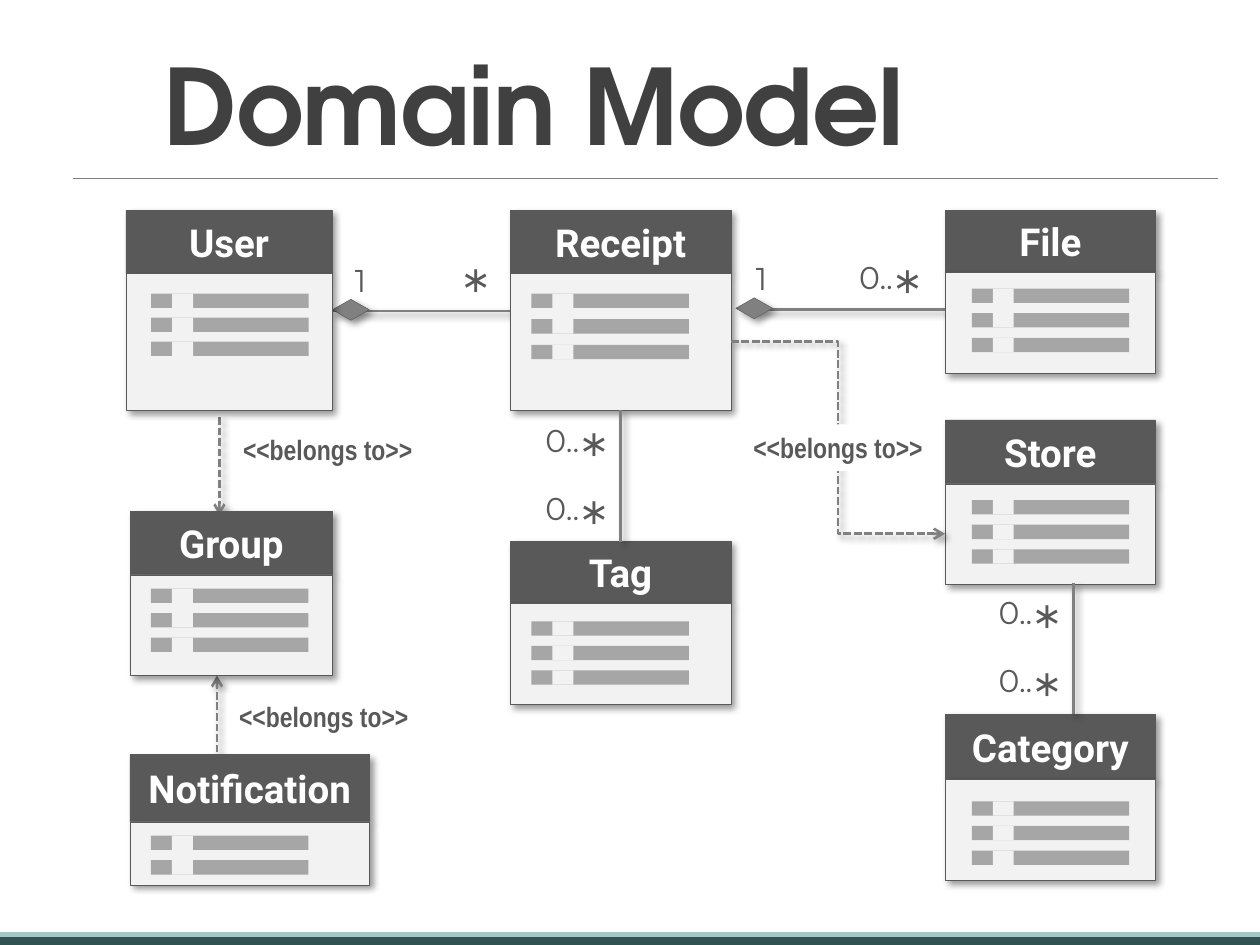
from dataclasses import dataclass
from typing import Optional

from lxml import etree
from pptx import Presentation
from pptx.dml.color import RGBColor
from pptx.enum.dml import MSO_LINE
from pptx.enum.shapes import MSO_CONNECTOR, MSO_SHAPE
from pptx.enum.text import MSO_ANCHOR, MSO_AUTO_SIZE, PP_ALIGN
from pptx.oxml.ns import qn
from pptx.util import Pt

RECTANGLE, DIAMOND = MSO_SHAPE.RECTANGLE, MSO_SHAPE.DIAMOND
STRAIGHT, ELBOW = MSO_CONNECTOR.STRAIGHT, MSO_CONNECTOR.ELBOW
SQUARE_DOT = MSO_LINE.SQUARE_DOT
TOP, MIDDLE, BOTTOM = MSO_ANCHOR.TOP, MSO_ANCHOR.MIDDLE, MSO_ANCHOR.BOTTOM
LEFT, CENTER = PP_ALIGN.LEFT, PP_ALIGN.CENTER
NO_AUTO_SIZE = MSO_AUTO_SIZE.NONE
TITLE_ONLY = 5


@dataclass(frozen=True)
class Theme:
    title: str = "404040"
    dark: str = "595959"
    line: str = "808080"
    bar: str = "A6A6A6"
    pale: str = "F2F2F2"
    white: str = "FFFFFF"
    teal: str = "305250"
    mint: str = "A1C8C5"
    title_font: str = "TeX Gyre Adventor"
    class_font: str = "Roboto"
    count_font: str = "Montserrat"
    relation_font: str = "Arial Narrow"
    title_size: float = 60
    class_size: float = 22
    count_size: float = 18
    star_size: float = 36
    relation_size: float = 16


THEME = Theme()


@dataclass(frozen=True)
class DomainClass:
    name: str
    left: float
    top: float
    width: float
    header: float
    body: float
    bars_left: float
    bars_top: float
    bars: int = 3
    pitch: float = 14.05


@dataclass(frozen=True)
class Link:
    x1: float
    y1: float
    x2: float
    y2: float
    depends: bool = False
    kind: MSO_CONNECTOR = STRAIGHT


@dataclass(frozen=True)
class Label:
    text: str
    left: float
    top: float


CLASSES = [
    DomainClass("User", 72, 120.2, 117.8, 36.2, 78.3, 86.4, 167.8, pitch=13.7),
    DomainClass("Receipt", 291.6, 120.2, 126, 36.2, 78.3, 303.7, 167.8, pitch=14.6),
    DomainClass("File", 540, 120.2, 120.4, 35.5, 57.8, 555.3, 164.9),
    DomainClass("Store", 540, 240, 120.4, 36.5, 57.4, 555.3, 285.8),
    DomainClass("Category", 540, 408.2, 120.4, 37.2, 57.6, 555.3, 457.9),
    DomainClass("Tag", 291.6, 309.4, 126, 35.6, 57.6, 303.7, 355),
    DomainClass("Group", 74.3, 292.3, 115.8, 36.2, 57.5, 86.2, 336.3),
    DomainClass("Notification", 74.3, 431.2, 136.8, 38.4, 36.2, 86.2, 477.5, bars=2),
]
BACK_LINKS = [
    Link(431, 177, 540, 177),
    Link(189.4, 177.8, 291.6, 177.8),
    Link(124, 442, 124, 386, depends=True),
    Link(125.4, 238.3, 125.4, 294.5, depends=True),
]
FRONT_LINKS = [
    Link(417.6, 195, 540, 305, depends=True, kind=ELBOW),
    Link(354.7, 234.3, 354.7, 309.6),
    Link(613.5, 333.4, 613.5, 408.2),
]
DIAMONDS = [(431, 176.2), (200.5, 177)]
COUNTS = [Label("1", 195.8, 145.4), Label("1", 424.8, 144.7)]
STARS = [(257.8, 141.1)]
RANGES = [(483.8, 144), (304.6, 236.9), (304.6, 275.8), (563.5, 335.5), (563.5, 374.4)]
RELATIONS = [(423.4, 242.6), (129.6, 396), (131.8, 243.4)]


def color(code: str) -> RGBColor:
    return RGBColor.from_string(code)


def write(frame, text: str, *, font: str, size: float, ink: str, bold: bool = False,
          align: PP_ALIGN = LEFT, anchor: MSO_ANCHOR = TOP, wrap: bool = True,
          line_spacing: Optional[float] = None, tracking: Optional[float] = None) -> None:
    frame.word_wrap = wrap
    frame.auto_size = NO_AUTO_SIZE
    frame.vertical_anchor = anchor
    para = frame.paragraphs[0]
    para.alignment = align
    if line_spacing:
        para.line_spacing = line_spacing
    span = para.add_run()
    span.text = text
    span.font.name = font
    span.font.size = Pt(size)
    span.font.bold = bold
    span.font.color.rgb = color(ink)
    if tracking:
        span.font._element.set("spc", str(int(tracking * 100)))


def set_effects(shape, shadow: bool) -> None:
    effects = etree.SubElement(shape._element.spPr, qn("a:effectLst"))
    if shadow:
        outer = etree.SubElement(effects, qn("a:outerShdw"), blurRad=str(Pt(4)),
                                 dist=str(Pt(3)), dir="2700000", algn="tl", rotWithShape="0")
        ink = etree.SubElement(outer, qn("a:srgbClr"), val="000000")
        etree.SubElement(ink, qn("a:alpha"), val="40000")


def draw_box(page, left: float, top: float, width: float, height: float, fill: str,
             outlined: bool = False, kind: MSO_SHAPE = RECTANGLE):
    box = page.shapes.add_shape(kind, Pt(left), Pt(top), Pt(width), Pt(height))
    box.fill.solid()
    box.fill.fore_color.rgb = color(fill)
    if outlined:
        box.line.color.rgb = color(THEME.dark)
        box.line.width = Pt(0.25)
    else:
        box.line.fill.background()
    set_effects(box, outlined)
    return box


def draw_link(page, link: Link, weight: float = 1.5, shadow: bool = True) -> None:
    connector = page.shapes.add_connector(
        link.kind, Pt(link.x1), Pt(link.y1), Pt(link.x2), Pt(link.y2))
    connector.line.color.rgb = color(THEME.line)
    connector.line.width = Pt(weight)
    if link.depends:
        connector.line.dash_style = SQUARE_DOT
        etree.SubElement(connector.line._get_or_add_ln(), qn("a:tailEnd"), type="arrow")
    set_effects(connector, shadow)


def draw_class(page, item: DomainClass) -> None:
    header = draw_box(page, item.left, item.top, item.width, item.header, THEME.dark, True)
    write(header.text_frame, item.name, font=THEME.class_font, size=THEME.class_size,
          ink=THEME.white, bold=True, align=CENTER, anchor=MIDDLE)
    draw_box(page, item.left, item.top + item.header, item.width, item.body, THEME.pale, True)
    for row in range(item.bars):
        top = item.bars_top + row * item.pitch
        draw_box(page, item.bars_left, top, 90, 8.2, THEME.bar)
        draw_box(page, item.bars_left + 12, top, 12, 8.2, THEME.pale)


def draw_count(page, label: Label, width: float = 23.8, height: float = 29,
               size: float = THEME.count_size) -> None:
    box = page.shapes.add_textbox(Pt(label.left), Pt(label.top), Pt(width), Pt(height))
    write(box.text_frame, label.text, font=THEME.count_font, size=size, ink=THEME.dark)


def draw_star(page, left: float, top: float) -> None:
    draw_count(page, Label("*", left, top), height=51, size=THEME.star_size)


def draw_range(page, left: float, top: float) -> None:
    draw_star(page, left + 20.8, top - 2.1)
    draw_count(page, Label("0..", left, top), width=44.6)


def draw_relation(page, left: float, top: float) -> None:
    box = draw_box(page, left, top, 112.3, 26.6, THEME.white)
    write(box.text_frame, "<<belongs to>>", font=THEME.relation_font,
          size=THEME.relation_size, ink=THEME.dark, bold=True, wrap=False)


def main() -> None:
    deck = Presentation()
    deck.slide_width, deck.slide_height = Pt(720), Pt(540)
    page = deck.slides.add_slide(deck.slide_layouts[TITLE_ONLY])
    title = page.shapes.title
    title.left, title.top, title.width, title.height = Pt(86.4), Pt(12.2), Pt(586), Pt(87.1)
    write(title.text_frame, "Domain Model", font=THEME.title_font, size=THEME.title_size,
          ink=THEME.title, bold=True, anchor=BOTTOM, line_spacing=0.85, tracking=-0.5)

    draw_box(page, 0, 535.2, 720, 4.8, THEME.teal)
    draw_box(page, 0, 532.6, 720, 2.6, THEME.mint)
    draw_link(page, Link(41.8, 102.2, 696.2, 102.2), weight=0.5, shadow=False)

    for link in BACK_LINKS:
        draw_link(page, link)
    for x, y in DIAMONDS:
        draw_box(page, x - 10.5, y - 6, 21, 12, THEME.line, True, DIAMOND)
    for item in CLASSES:
        draw_class(page, item)
    for link in FRONT_LINKS:
        draw_link(page, link)
    for label in COUNTS:
        draw_count(page, label)
    for place in STARS:
        draw_star(page, *place)
    for place in RANGES:
        draw_range(page, *place)
    for place in RELATIONS:
        draw_relation(page, *place)
    deck.save("out.pptx")


if __name__ == "__main__":
    main()
